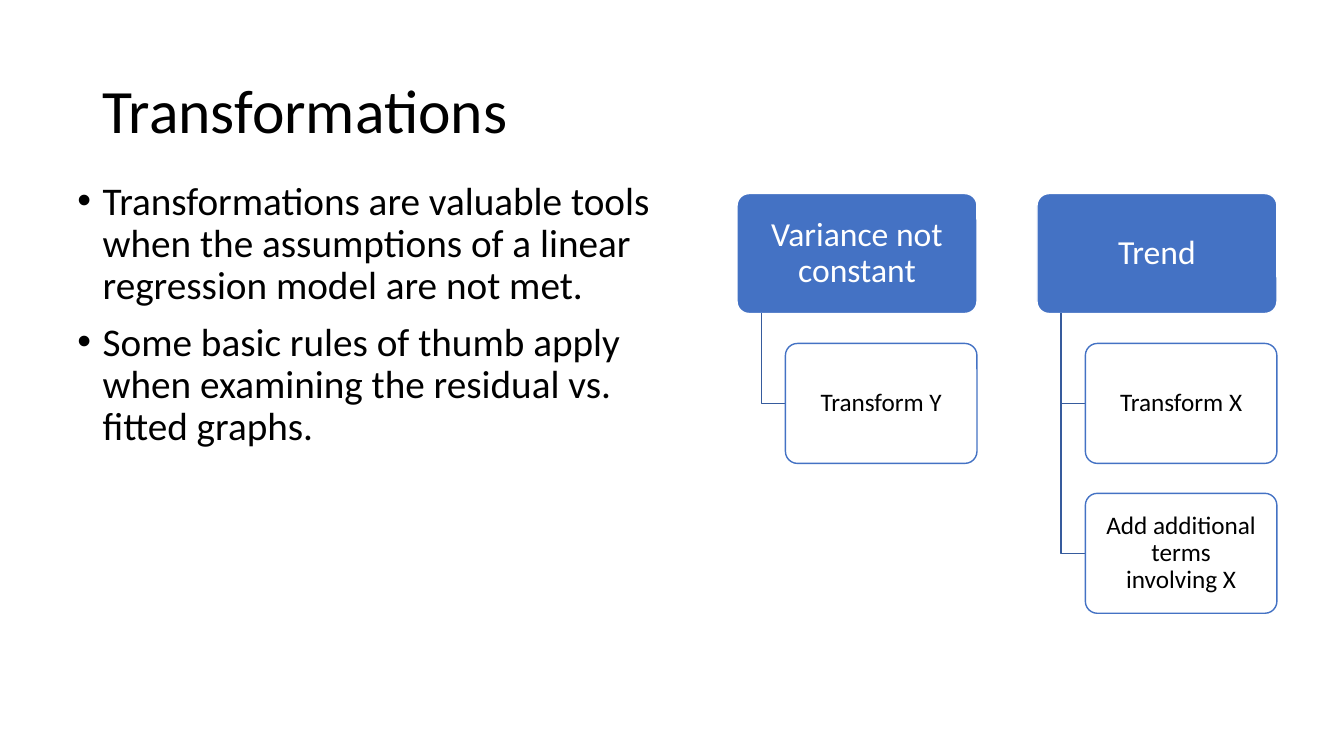
import pptx
import pptx.util
import pptx.dml.color
import pptx.enum.shapes
import pptx.enum.text
import pptx.oxml.ns
import lxml.etree

INCH = pptx.util.Inches
ALIGN = pptx.enum.text.PP_ALIGN
ANCHOR = pptx.enum.text.MSO_ANCHOR

COLORS = {"text": "000000", "white": "FFFFFF", "blue": "4472C4", "link": "365B9D"}

# Tree grid, in inches
LEFT, TOP = 7.31, 1.92
COL, ROW = 2.975, 1.487
HEAD, LEAF, HIGH = 2.38, 1.9, 1.19
STEM, INDENT = 0.24, 0.48

TREES = [
    ("Variance not constant", ["Transform Y"]),
    ("Trend", ["Transform X", "Add additional terms\ninvolving X"]),
]
POINTS = [
    "Transformations are valuable tools when the assumptions of a linear "
    "regression model are not met.",
    "Some basic rules of thumb apply when examining the residual vs. fitted graphs.",
]


def color(name):
    return pptx.dml.color.RGBColor.from_string(COLORS[name])


def style(item, values):
    for key, value in values.items():
        setattr(item, key, value)


def frame(shape, anchor, side, edge):
    style(shape.text_frame, {
        "word_wrap": True, "vertical_anchor": anchor,
        "margin_left": INCH(side), "margin_right": INCH(side),
        "margin_top": INCH(edge), "margin_bottom": INCH(edge),
    })
    return shape.text_frame


def write(para, text, size, tint, **form):
    para.text = text
    style(para, {"line_spacing": 0.9, **form})
    style(para.font, {"name": "Calibri", "size": pptx.util.Pt(size)})
    para.font.color.rgb = color(tint)


def bullet(para):
    props = para._p.get_or_add_pPr()
    style_set = {"marL": INCH(0.25), "indent": -INCH(0.25)}
    for key, value in style_set.items():
        props.set(key, str(int(value)))
    for tag, key, value in (("a:buFont", "typeface", "Arial"), ("a:buChar", "char", "•")):
        mark = lxml.etree.SubElement(props, pptx.oxml.ns.qn(tag))
        mark.set(key, value)


def outline(shape, tint):
    shape.shadow.inherit = False
    shape.line.color.rgb = color(tint)
    shape.line.width = pptx.util.Pt(1)


def card(slide, left, top, width, text, size, fill, line, tint):
    kind = pptx.enum.shapes.MSO_SHAPE.ROUNDED_RECTANGLE
    shape = slide.shapes.add_shape(kind, INCH(left), INCH(top), INCH(width), INCH(HIGH))
    shape.adjustments[0] = 0.1
    shape.fill.solid()
    shape.fill.fore_color.rgb = color(fill)
    outline(shape, line)
    words = frame(shape, ANCHOR.MIDDLE, 0.08, 0.06)
    write(words.paragraphs[0], text, size, tint, alignment=ALIGN.CENTER)


def elbow(slide, left, top, end):
    path = slide.shapes.build_freeform(INCH(left), INCH(top))
    path.add_line_segments(
        [(INCH(left), INCH(end)), (INCH(left + STEM), INCH(end))], close=False)
    shape = path.convert_to_shape()
    shape.fill.background()
    outline(shape, "link")


def tree(slide, left, head, leaves):
    card(slide, left, TOP, HEAD, head, 24, "blue", "white", "white")
    for row, leaf in enumerate(leaves, 1):
        top = TOP + row * ROW
        elbow(slide, left + STEM, TOP + HIGH, top + HIGH / 2)
        card(slide, left + INDENT, top, LEAF, leaf, 18, "white", "blue", "text")


def box(slide, left, top, width, height, anchor):
    shape = slide.shapes.add_textbox(INCH(left), INCH(top), INCH(width), INCH(height))
    return frame(shape, anchor, 0.1, 0.05)


def main():
    deck = pptx.Presentation()
    style(deck, {"slide_width": INCH(13.33), "slide_height": INCH(7.5)})
    slide = deck.slides.add_slide(deck.slide_layouts[6])

    # Title
    title = box(slide, 0.92, 0.4, 11.5, 1.45, ANCHOR.MIDDLE)
    write(title.paragraphs[0], "Transformations", 44, "text")

    # Bullet points
    body = box(slide, 0.67, 1.75, 6.08, 4.95, ANCHOR.TOP)
    for index, text in enumerate(POINTS):
        para = body.add_paragraph() if index else body.paragraphs[0]
        bullet(para)
        write(para, text, 28, "text", space_before=pptx.util.Pt(10 if index else 0))

    # Remedy trees
    for index, (head, leaves) in enumerate(TREES):
        tree(slide, LEFT + index * COL, head, leaves)

    deck.save("out.pptx")


if __name__ == "__main__":
    main()
